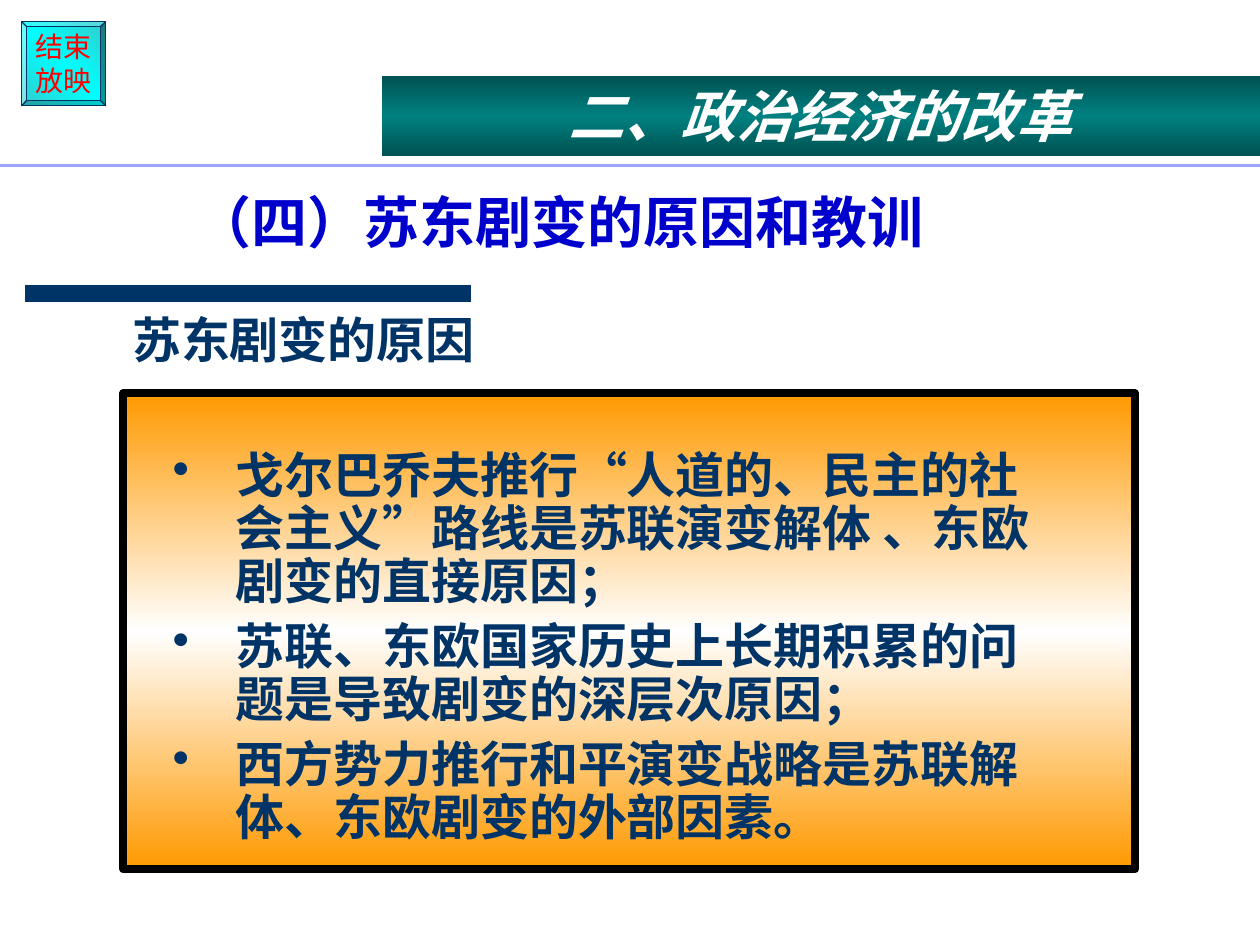
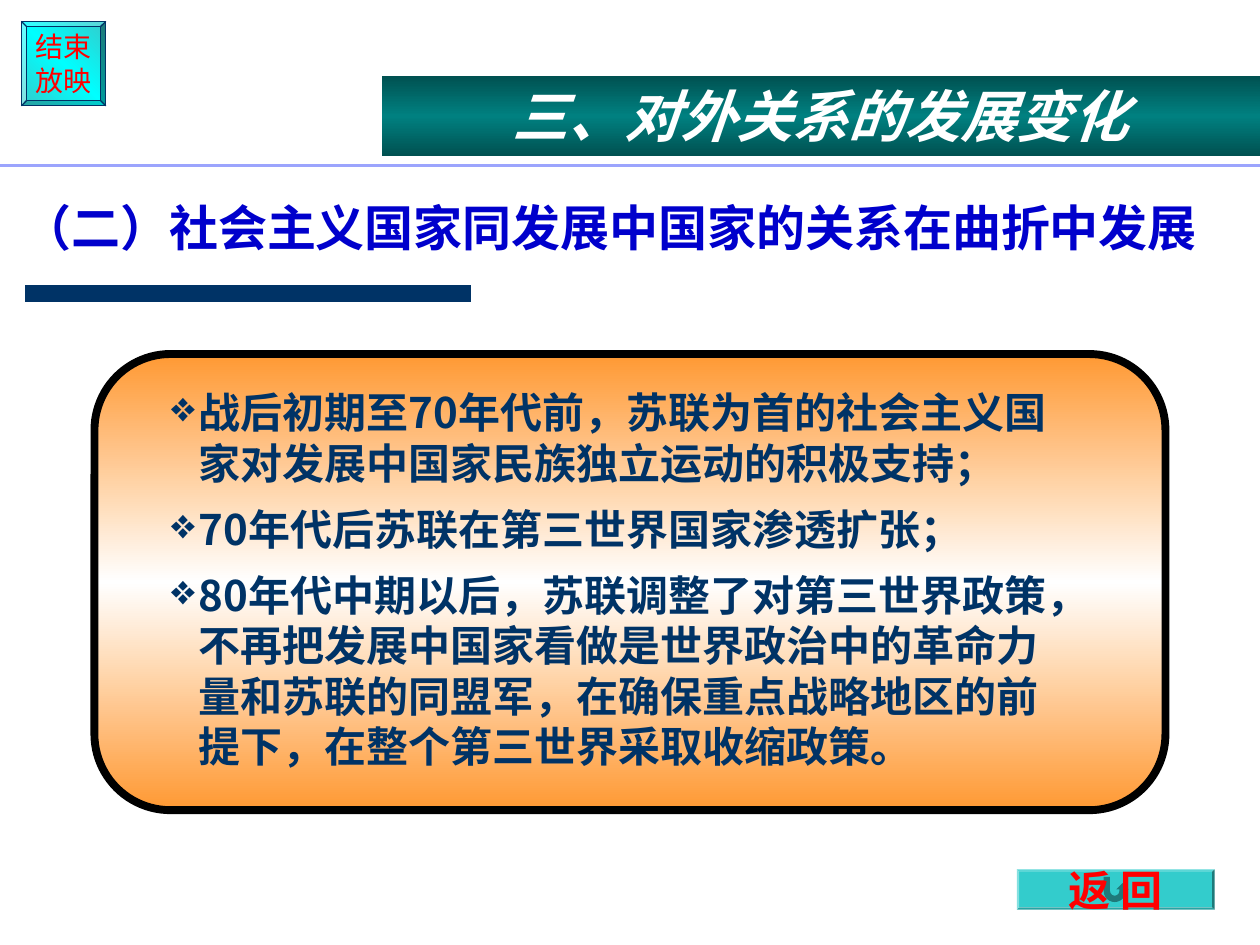
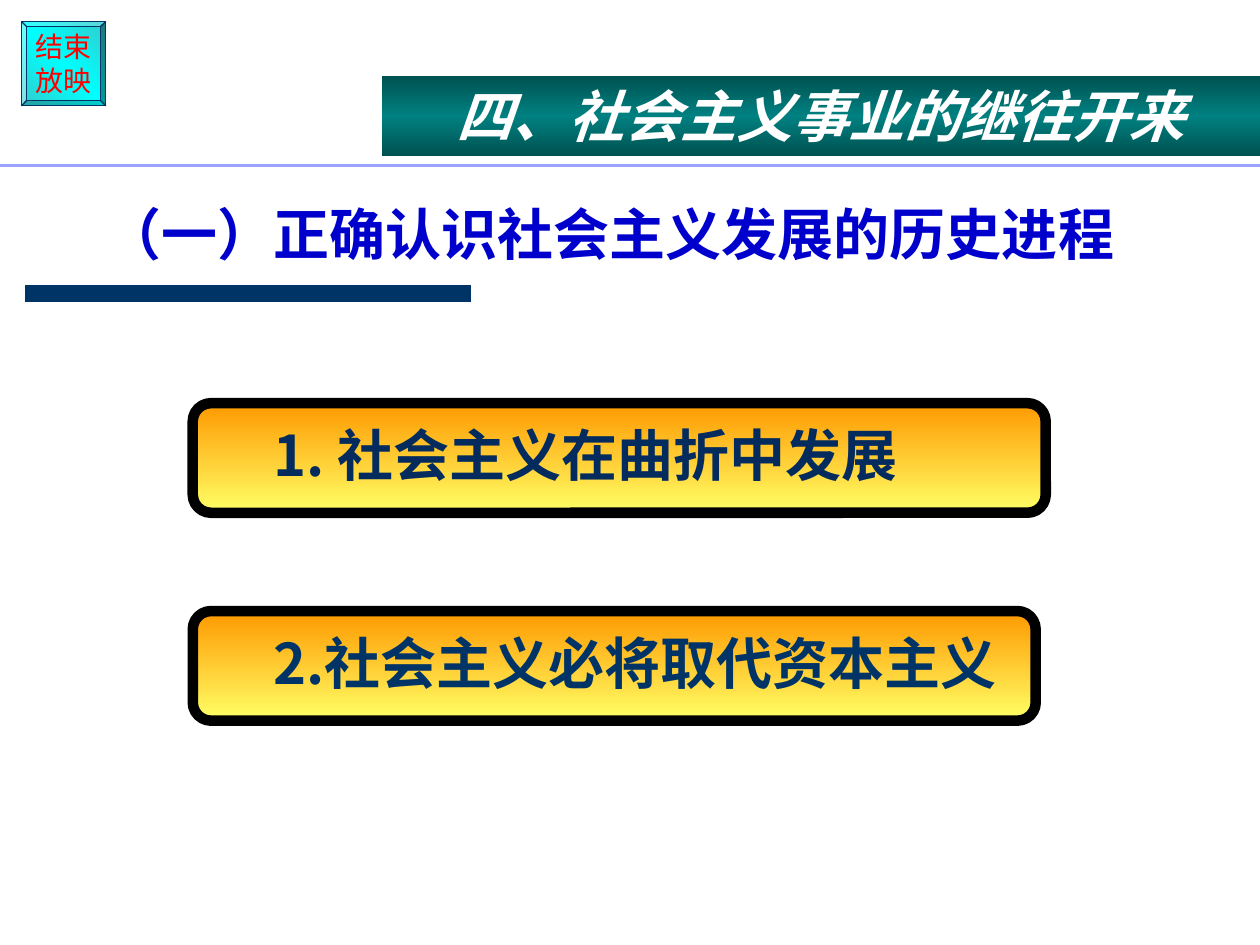
from lxml import etree
from pptx import Presentation
from pptx.dml.color import RGBColor
from pptx.enum import shapes, text
from pptx.oxml.ns import qn
from pptx.util import Inches, Pt

NAVY, BLUE, RED, WHITE, BLACK = "003366", "0000CC", "FF0000", "FFFFFF", "000000"
TEAL, RULE = "33CCCC", "9BA4FD"
BANNER_FILL = ["005151", "008080", "005151"]
BUTTON_FILL = [TEAL, "00FFFF", TEAL]
ITEM_FILL = ["FF9900", "FFFF66"]
ARIAL, NOTO = "Arial", "Noto Sans CJK SC"
LEFT, CENTER = text.PP_ALIGN.LEFT, text.PP_ALIGN.CENTER
TOP, MIDDLE, BOTTOM = (text.MSO_ANCHOR.TOP, text.MSO_ANCHOR.MIDDLE,
                       text.MSO_ANCHOR.BOTTOM)
PRESET = shapes.MSO_SHAPE


def color(hex_code):
    return RGBColor.from_string(hex_code)


def fill_gradient(shape, stops, angle):
    """Spread the stops evenly along a clockwise angle in degrees."""
    shape.fill.gradient()
    gradient = shape._element.spPr.find(qn("a:gradFill"))
    stop_list = gradient.find(qn("a:gsLst"))
    for stop in list(stop_list):
        stop_list.remove(stop)
    for index, hex_code in enumerate(stops):
        position = 100000 * index // (len(stops) - 1)
        stop = etree.SubElement(stop_list, qn("a:gs"), pos=str(position))
        etree.SubElement(stop, qn("a:srgbClr"), val=hex_code)
    gradient.find(qn("a:lin")).set("ang", str(angle * 60000))


def add_panel(page, preset, place, fill, line=None, width=0, angle=90):
    """Add a preset shape; a list as fill makes a gradient."""
    shape = page.shapes.add_shape(preset, *map(Inches, place))
    shape.shadow.inherit = False
    if isinstance(fill, list):
        fill_gradient(shape, fill, angle)
    else:
        shape.fill.solid()
        shape.fill.fore_color.rgb = color(fill)
    if line:
        shape.line.color.rgb = color(line)
        shape.line.width = Pt(width)
    else:
        shape.line.fill.background()
    return shape


def add_line(page, start, end, hex_code, width):
    line = page.shapes.add_connector(
        shapes.MSO_CONNECTOR.STRAIGHT, *map(Inches, start + end))
    line.line.color.rgb = color(hex_code)
    line.line.width = Pt(width)
    etree.SubElement(line._element.spPr, qn("a:effectLst"))


def write(shape, lines, size, hex_code, font=NOTO, align=LEFT, anchor=TOP,
          insets=(0.1, 0.05, 0.1, 0.05), wrap=True, bold=True, italic=False,
          spacing=None, gap=0, margin=0, indent=0, bullet=None):
    frame = shape.text_frame
    frame.word_wrap = wrap
    frame.vertical_anchor = anchor
    (frame.margin_left, frame.margin_top,
     frame.margin_right, frame.margin_bottom) = map(Inches, insets)
    frame.text = "\n".join(lines)
    for index, para in enumerate(frame.paragraphs):
        para.alignment = align
        para.line_spacing = spacing
        if index and gap:
            para.space_before = Pt(gap)
        properties = para._p.get_or_add_pPr()
        properties.set("marL", str(Inches(margin)))
        properties.set("indent", str(Inches(indent)))
        if bullet:
            tint = etree.SubElement(properties, qn("a:buClr"))
            etree.SubElement(tint, qn("a:srgbClr"), val=NAVY)
            etree.SubElement(properties, qn("a:buChar"), char=bullet)
        for span in para.runs:
            span.font.name = font
            span.font.size = Pt(size)
            span.font.bold = bold
            span.font.italic = italic
            span.font.color.rgb = color(hex_code)


def add_text(page, place, lines, size, hex_code, **style):
    box = page.shapes.add_textbox(*map(Inches, place))
    write(box, lines, size, hex_code, **style)


def add_bevel_button(page, place, depth, fill, line=None):
    button = add_panel(page, PRESET.BEVEL, place, fill, line, 0.75, angle=135)
    button.adjustments[0] = depth
    return button


def add_return_button(page):
    place = (8.07, 6.9, 1.57, 0.32)
    add_bevel_button(page, place, 0.06, TEAL)
    arrow = add_panel(page, PRESET.U_TURN_ARROW, (8.76, 6.96, 0.2, 0.2), "1F7A7A")
    arrow._element.spPr.find(qn("a:xfrm")).set("flipV", "1")
    add_text(page, place, ["返 回"], 24, RED, font=ARIAL, align=CENTER,
             anchor=MIDDLE, wrap=False)


def add_page(deck, chapter, heading, place, size=32):
    """Add a page with the shared frame, chapter banner and heading."""
    page = deck.slides.add_slide(deck.slide_layouts[6])
    add_line(page, (0.2, 2.33), (3.74, 2.33), NAVY, 10)
    button = add_bevel_button(page, (0.17, 0.17, 0.67, 0.67), 0.06, BUTTON_FILL, NAVY)
    write(button, ["结束", "放映"], 16, RED, font=ARIAL, align=CENTER,
          anchor=MIDDLE, wrap=False, bold=False)
    add_text(page, place, [heading], size, BLUE, anchor=BOTTOM, spacing=0.9)
    banner = add_panel(page, PRESET.RECTANGLE, (3.03, 0.6, 6.97, 0.64), BANNER_FILL)
    write(banner, [chapter], 32, WHITE, align=CENTER, italic=True)
    add_line(page, (0, 1.31), (10, 1.31), RULE, 1.75)
    return page


def add_causes_page(deck):
    page = add_page(deck, "二、政治经济的改革", "（四）苏东剧变的原因和教训",
                    (1.45, 0.99, 8.51, 1.09))
    panel = add_panel(page, PRESET.RECTANGLE, (0.98, 3.12, 8.03, 3.78),
                      ["FF9900", WHITE, "FF9900"], BLACK, 4.5)
    write(panel, [
        "戈尔巴乔夫推行“人道的、民主的社会主义”路线是苏联演变解体 、东欧剧变的直接原因；",
        "苏联、东欧国家历史上长期积累的问题是导致剧变的深层次原因；",
        "西方势力推行和平演变战略是苏联解体、东欧剧变的外部因素。",
    ], 28, NAVY, font=ARIAL, anchor=MIDDLE, insets=(0.39, 0.33, 0.79, 0.05),
        spacing=0.9, gap=7, margin=0.5, indent=-0.5, bullet="•")
    add_text(page, (0.95, 2.41, 6.42, 0.57), ["苏东剧变的原因"], 28, NAVY, font=ARIAL)


def add_relations_page(deck):
    page = add_page(deck, "三、对外关系的发展变化",
                    "（二）社会主义国家同发展中国家的关系在曲折中发展",
                    (0.08, 1, 9.84, 1.09), 28)
    add_panel(page, PRESET.ROUNDED_RECTANGLE, (0.75, 2.81, 8.5, 3.62),
              ["FF9933", WHITE, "FF9933"], BLACK, 4.5)
    add_text(page, (0.98, 2.69, 7.48, 3.9), [
        "战后初期至70年代前，苏联为首的社会主义国家对发展中国家民族独立运动的积极支持；",
        "70年代后苏联在第三世界国家渗透扩张；",
        "80年代中期以后，苏联调整了对第三世界政策，不再把发展中国家看做是世界政治中的"
        "革命力量和苏联的同盟军，在确保重点战略地区的前提下，在整个第三世界采取收缩政策。",
    ], 24, NAVY, insets=(0.1, 0.38, 0.1, 0.05), gap=9, margin=0.5,
        indent=-0.22, bullet="❖")
    add_return_button(page)


def add_future_page(deck):
    page = add_page(deck, "四、社会主义事业的继往开来",
                    "（一）正确认识社会主义发展的历史进程", (0.74, 1.08, 8.51, 1.09))
    items = [("1. 社会主义在曲折中发展", 3.2, 6.77, "032B5E"),
             ("2.社会主义必将取代资本主义", 4.85, 6.69, NAVY)]
    for label, top, width, hex_code in items:
        item = add_panel(page, PRESET.FLOWCHART_ALTERNATE_PROCESS,
                         (1.53, top, width, 0.87), ITEM_FILL, BLACK, 6)
        write(item, [label], 32, hex_code, anchor=MIDDLE, spacing=0.9, margin=0.5)


def main():
    deck = Presentation()
    deck.slide_width, deck.slide_height = Inches(10), Inches(7.5)
    add_causes_page(deck)
    add_relations_page(deck)
    add_future_page(deck)
    deck.save("out.pptx")


if __name__ == "__main__":
    main()
